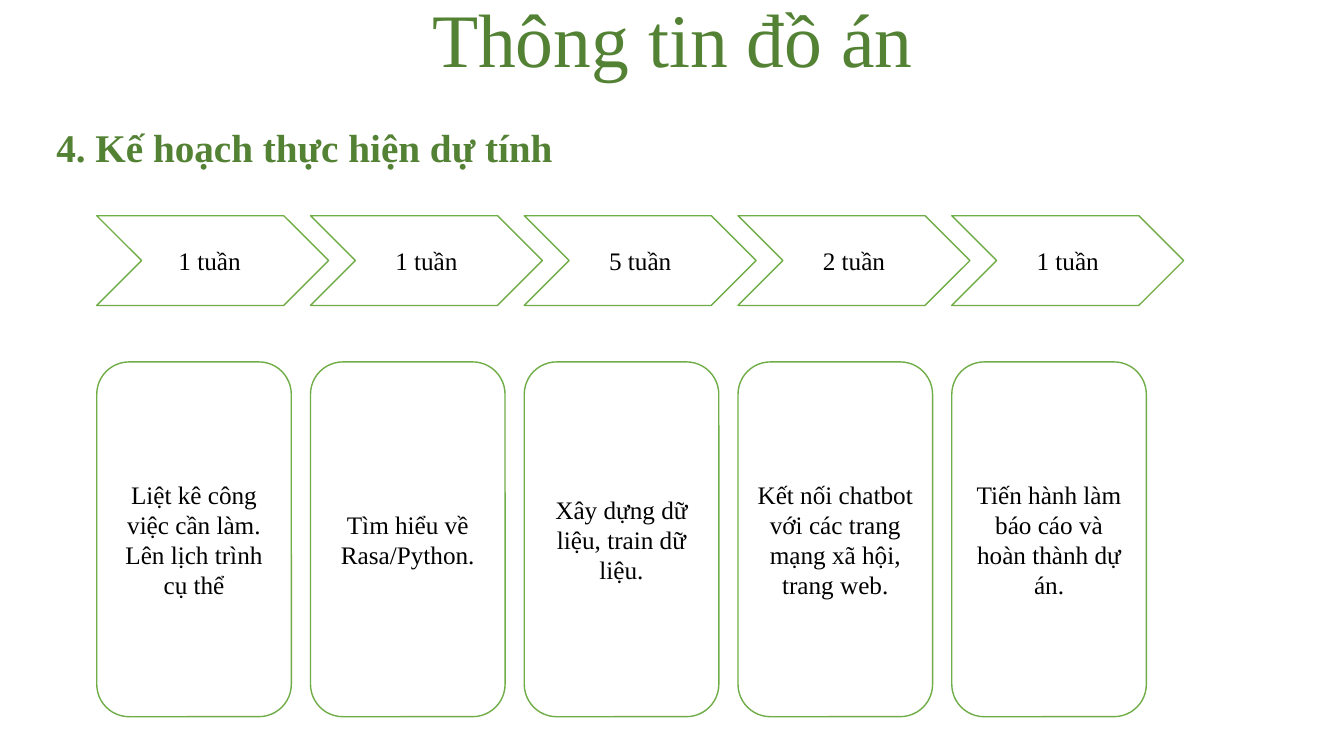
from dataclasses import dataclass
from pptx import Presentation
from pptx.dml.color import RGBColor
from pptx.enum.shapes import MSO_SHAPE
from pptx.enum.text import MSO_ANCHOR, MSO_AUTO_SIZE, PP_ALIGN
from pptx.util import Inches, Pt

CHEVRON, CARD = MSO_SHAPE.CHEVRON, MSO_SHAPE.ROUNDED_RECTANGLE
MIDDLE, BOTTOM = MSO_ANCHOR.MIDDLE, MSO_ANCHOR.BOTTOM
LEFT, CENTER = PP_ALIGN.LEFT, PP_ALIGN.CENTER
FIXED = MSO_AUTO_SIZE.NONE


@dataclass(frozen=True)
class Theme:
    font: str = "Times New Roman"
    head: RGBColor = RGBColor(0x54, 0x82, 0x35)
    edge: RGBColor = RGBColor(0x70, 0xAD, 0x47)
    fill: RGBColor = RGBColor(0xFF, 0xFF, 0xFF)
    ink: RGBColor = RGBColor(0, 0, 0)
    title: int = 54
    sub: int = 28
    body: int = 18


THEME = Theme()
TITLE = "Thông tin đồ án"
SUB = "4. Kế hoạch thực hiện dự tính"
STEPS = [
    ("1 tuần ", "Liệt kê công việc cần làm. Lên lịch trình cụ thể"),
    ("1 tuần", "Tìm hiểu về Rasa/Python."),
    ("5 tuần", "Xây dựng dữ liệu, train dữ liệu."),
    ("2 tuần", "Kết nối chatbot với các trang mạng xã hội, trang web."),
    ("1 tuần", "Tiến hành làm báo cáo và hoàn thành dự án."),
]
START, PITCH = 0.96, 2.12
ROWS = [(CHEVRON, 2.14, 2.3, 0.89), (CARD, 3.59, 1.93, 3.52)]


def write(frame, text, size, color, align, bold=False):
    frame.word_wrap = True
    frame.auto_size = FIXED
    para = frame.paragraphs[0]
    para.alignment = align
    run = para.add_run()
    run.text = text
    font = run.font
    font.name, font.size, font.bold = THEME.font, Pt(size), bold
    font.color.rgb = color
    return para


def add_step(kind, text, left, top, width, height):
    shape = slide.shapes.add_shape(
        kind, Inches(left), Inches(top), Inches(width), Inches(height))
    shape.shadow.inherit = False
    shape.fill.solid()
    shape.fill.fore_color.rgb = THEME.fill
    shape.line.color.rgb = THEME.edge
    shape.line.width = Pt(1)
    frame = shape.text_frame
    frame.margin_left = frame.margin_right = Inches(0.08)
    frame.vertical_anchor = MIDDLE
    write(frame, text, THEME.body, THEME.ink, CENTER)


deck = Presentation()
deck.slide_width, deck.slide_height = Inches(13.33), Inches(7.5)
slide = deck.slides.add_slide(deck.slide_layouts[5])

title = slide.shapes.title
title.left, title.top = Inches(1.67), Inches(0.01)
title.width, title.height = Inches(10), Inches(0.87)
title.text_frame.vertical_anchor = BOTTOM
para = write(title.text_frame, TITLE, THEME.title, THEME.head, CENTER)
para.line_spacing = 0.9

sub = slide.shapes.add_textbox(
    Inches(0.46), Inches(1.17), Inches(5.81), Inches(0.57))
write(sub.text_frame, SUB, THEME.sub, THEME.head, LEFT, True)

for row, (kind, top, width, height) in enumerate(ROWS):
    for col, step in enumerate(STEPS):
        add_step(kind, step[row], START + col * PITCH, top, width, height)

deck.save("out.pptx")
